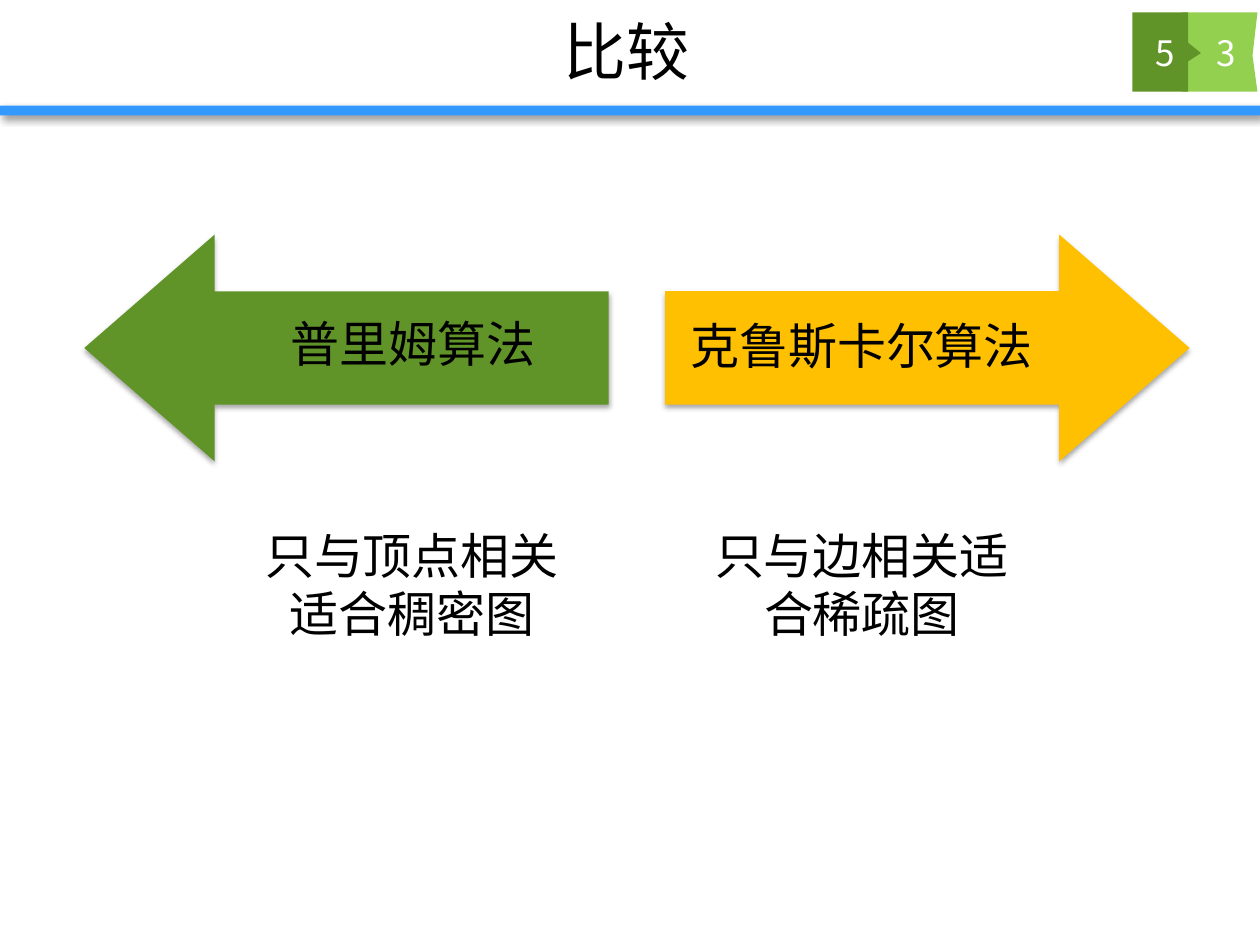
import pptx
import pptx.dml.color
import pptx.enum.shapes
import pptx.enum.text
import pptx.oxml
import pptx.oxml.ns
import pptx.util

Cm = pptx.util.Cm
RGBColor = pptx.dml.color.RGBColor
MSO_SHAPE = pptx.enum.shapes.MSO_SHAPE
MSO_ANCHOR = pptx.enum.text.MSO_ANCHOR

BLACK = RGBColor(0x00, 0x00, 0x00)
WHITE = RGBColor(0xFF, 0xFF, 0xFF)
BLUE = RGBColor(0x33, 0x99, 0xFF)
DARK_GREEN = RGBColor(0x61, 0x94, 0x28)
LIGHT_GREEN = RGBColor(0x93, 0xD0, 0x50)
AMBER = RGBColor(0xFF, 0xC0, 0x01)


class SlideBuilder:
    """Holds the style and the current slide."""

    font_name = "Noto Sans CJK SC"

    def __init__(self, slide):
        self.slide = slide

    def paint(self, shape, color):
        shape.shadow.inherit = False
        shape.fill.solid()
        shape.fill.fore_color.rgb = color
        shape.line.fill.background()

    def shape(self, kind, left, top, width, height, color):
        shape = self.slide.shapes.add_shape(
            kind, Cm(left), Cm(top), Cm(width), Cm(height))
        self.paint(shape, color)
        return shape

    def outline(self, points, color):
        corners = [(Cm(x), Cm(y)) for x, y in points]
        builder = self.slide.shapes.build_freeform(*corners[0])
        builder.add_line_segments(corners[1:], close=True)
        self.paint(builder.convert_to_shape(), color)

    def shadow(self, shape, alpha, blur, distance, angle):
        effects = shape.element.spPr.find(pptx.oxml.ns.qn("a:effectLst"))
        effects.append(pptx.oxml.parse_xml(
            f'<a:outerShdw {pptx.oxml.ns.nsdecls("a")}'
            f' blurRad="{pptx.util.Pt(blur)}" dist="{pptx.util.Pt(distance)}"'
            f' dir="{angle * 60000}" rotWithShape="0">'
            f'<a:srgbClr val="000000"><a:alpha val="{alpha * 1000}"/>'
            '</a:srgbClr></a:outerShdw>'))

    def arrow(self, left, rotation, color):
        arrow = self.shape(MSO_SHAPE.UP_ARROW, left, 1.73, 4.57, 10.57, color)
        arrow.rotation = rotation
        arrow.adjustments[0] = 0.5
        arrow.adjustments[1] = 0.575
        self.shadow(arrow, 35, 3.1, 1.8, 90)

    def text(self, text, left, top, width, height, size, color=BLACK,
             anchor=MSO_ANCHOR.MIDDLE, spacing=1.0):
        box = self.slide.shapes.add_textbox(
            Cm(left), Cm(top), Cm(width), Cm(height))
        frame = box.text_frame
        frame.word_wrap = True
        frame.vertical_anchor = anchor
        frame.text = text
        para = frame.paragraphs[0]
        para.alignment = pptx.enum.text.PP_ALIGN.CENTER
        para.line_spacing = spacing
        span = para.runs[0]
        span.font.size = pptx.util.Pt(size)
        span.font.color.rgb = color
        span.font.name = self.font_name
        # East Asian characters take their own font element
        span.font._element.append(pptx.oxml.parse_xml(
            f'<a:ea {pptx.oxml.ns.nsdecls("a")} typeface="{self.font_name}"/>'))


def main():
    deck = pptx.Presentation()
    deck.slide_width, deck.slide_height = Cm(25.4), Cm(19.05)
    page = SlideBuilder(deck.slides.add_slide(deck.slide_layouts[6]))

    # Header bar and title
    bar = page.shape(MSO_SHAPE.RECTANGLE, 0, 2.13, 25.4, 0.2, BLUE)
    page.shadow(bar, 40, 4, 3, 45)
    page.text("比较", 2.49, 0.03, 20.29, 1.96, 36)

    # Section and page numbers
    page.outline([(23.83, 0.25), (25.35, 0.25), (25.25, 1.12),
                  (25.35, 1.85), (23.83, 1.85)], LIGHT_GREEN)
    page.outline([(22.83, 0.25), (23.95, 0.25), (23.95, 0.86), (24.21, 1.07),
                  (23.95, 1.24), (23.95, 1.85), (22.83, 1.85)], DARK_GREEN)
    for number, left in (("5", 22.71), ("3", 23.93)):
        page.text(number, left, 0.25, 1.57, 1.6, 20, WHITE)

    # Opposing arrows with their labels
    for name, arrow_left, rotation, color, left, top in (
            ("普里姆算法", 4.7, 270, DARK_GREEN, 3.96, 5.84),
            ("克鲁斯卡尔算法", 16.41, 90, AMBER, 13.0, 5.89)):
        page.arrow(arrow_left, rotation, color)
        page.text(name, left, top, 8.74, 2.29, 28, spacing=0.9)

    # Captions
    for caption, left in (("只与顶点相关适合稠密图", 4.75),
                          ("只与边相关适合稀疏图", 13.82)):
        page.text(caption, left, 10.46, 7.11, 2.64, 28, anchor=MSO_ANCHOR.TOP)

    deck.save("out.pptx")


if __name__ == "__main__":
    main()
